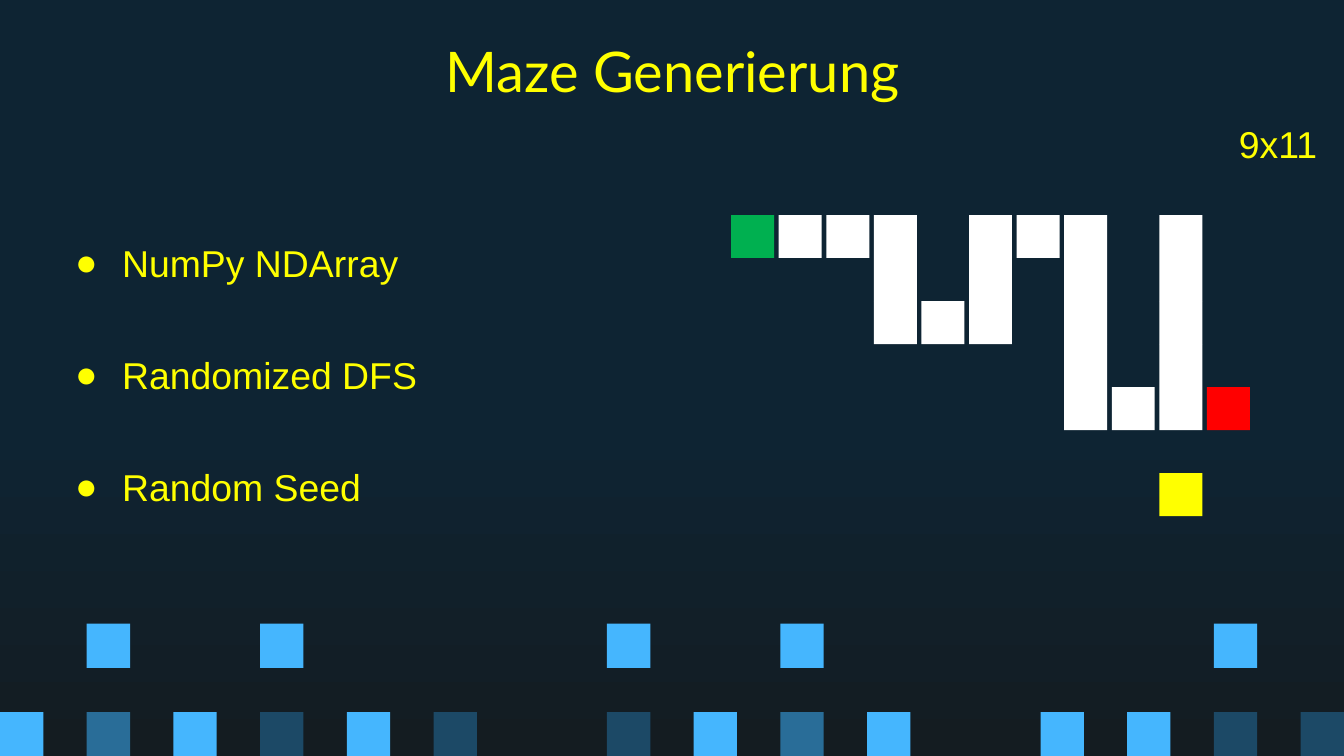
"""Build the slide on maze generation."""
from dataclasses import dataclass

from lxml import etree
from pptx import Presentation
from pptx.dml.color import RGBColor
from pptx.enum.shapes import MSO_SHAPE
from pptx.enum.text import MSO_ANCHOR, PP_ALIGN
from pptx.oxml.ns import qn
from pptx.util import Inches, Pt

RECTANGLE = MSO_SHAPE.RECTANGLE
TOP, MIDDLE = MSO_ANCHOR.TOP, MSO_ANCHOR.MIDDLE
LEFT, CENTER = PP_ALIGN.LEFT, PP_ALIGN.CENTER


@dataclass(frozen=True)
class Theme:
    night: str = "0E2433"
    black: str = "141C21"
    bright: str = "45B6FE"
    medium: str = "296D98"
    dark: str = "1C4966"
    yellow: str = "FFFF00"
    white: str = "FFFFFF"
    green: str = "00B050"
    red: str = "FF0000"
    title_font: str = "Lato"
    body_font: str = "Arial"
    title_size: int = 30
    body_size: int = 20


THEME = Theme()
TILE_COLORS = {"B": THEME.bright, "M": THEME.medium, "D": THEME.dark}
MAZE_COLORS = {"S": THEME.green, "W": THEME.white, "E": THEME.red, "Y": THEME.yellow}
TOP_TILES = [".B.B...B.B....B."]
BOTTOM_TILES = ["BMBDBD.DBMB.BBDD"]
MAZE = [
    "SWWW.WWW.W.",
    "...W.W.W.W.",
    "...WWW.W.W.",
    ".......W.W.",
    ".......WWWE",
    "...........",
    ".........Y.",
]
TILE_WIDTH = 10 / 31
MAZE_CELL = 0.32
MAZE_STEP = (8.98 - 5.44) / 10


class SlideBuilder:
    def __init__(self, slide, theme):
        self.slide = slide
        self.theme = theme

    def background(self):
        fill = self.slide.background.fill
        fill.gradient()
        fill.gradient_angle = 270
        stops = [(0.56, self.theme.night), (1, self.theme.black)]
        for stop, (position, color) in zip(fill.gradient_stops, stops):
            stop.position = position
            stop.color.rgb = RGBColor.from_string(color)

    def square(self, left, top, width, height, color):
        shape = self.slide.shapes.add_shape(
            RECTANGLE, Inches(left), Inches(top), Inches(width), Inches(height))
        shape.shadow.inherit = False
        shape.fill.solid()
        shape.fill.fore_color.rgb = RGBColor.from_string(color)
        shape.line.fill.background()

    def grid(self, rows, colors, origin, step, size):
        for row, cells in enumerate(rows):
            for column, cell in enumerate(cells):
                if cell in colors:
                    self.square(origin[0] + column * step[0],
                                origin[1] + row * step[1], *size, colors[cell])

    def text(self, box, lines, font, size, anchor=TOP, align=LEFT,
             spacing=1.0, margin=0, indent=0, bullet=None):
        shape = self.slide.shapes.add_textbox(*map(Inches, box))
        frame = shape.text_frame
        inset = Inches(0.1)
        frame_format = {"word_wrap": True, "vertical_anchor": anchor,
                        "margin_left": inset, "margin_right": inset,
                        "margin_top": inset, "margin_bottom": inset}
        for name, value in frame_format.items():
            setattr(frame, name, value)
        for index, line in enumerate(lines):
            paragraph = frame.add_paragraph() if index else frame.paragraphs[0]
            paragraph.alignment = align
            paragraph.line_spacing = spacing
            properties = paragraph._p.get_or_add_pPr()
            properties.set("marL", str(Inches(margin)))
            properties.set("indent", str(Inches(indent)))
            if bullet:
                self.bullet(properties, bullet)
            run = paragraph.add_run()
            run.text = line
            for name, value in {"name": font, "size": Pt(size)}.items():
                setattr(run.font, name, value)
            run.font.color.rgb = RGBColor.from_string(self.theme.yellow)

    def bullet(self, properties, character):
        color = etree.SubElement(properties, qn("a:buClr"))
        etree.SubElement(color, qn("a:srgbClr"), val=self.theme.yellow)
        etree.SubElement(properties, qn("a:buFont"), typeface=self.theme.body_font)
        etree.SubElement(properties, qn("a:buChar"), char=character)


def main():
    presentation = Presentation()
    presentation.slide_width = Inches(10)
    presentation.slide_height = Inches(10 * 9 / 16)
    slide = presentation.slides.add_slide(presentation.slide_layouts[6])
    builder = SlideBuilder(slide, THEME)
    builder.background()
    for tiles, top in ((TOP_TILES, 4.64), (BOTTOM_TILES, 5.3)):
        builder.grid(tiles, TILE_COLORS, (0, top), (2 * TILE_WIDTH, 0),
                     (TILE_WIDTH, 0.33))
    builder.text((0.31, 1.66, 3.39, 1.75),
                 ["NumPy NDArray", "Randomized DFS", "Random Seed"],
                 THEME.body_font, THEME.body_size, anchor=MIDDLE,
                 spacing=2.5, margin=0.5, indent=-0.35, bullet="●")
    builder.grid(MAZE, MAZE_COLORS, (5.44, 1.6), (MAZE_STEP, MAZE_CELL),
                 (MAZE_CELL, MAZE_CELL))
    builder.text((8.97, 0.8, 0.94, 0.49), ["9x11"],
                 THEME.body_font, THEME.body_size, margin=0.15)
    builder.text((1.28, 0.17, 7.45, 1.08), ["Maze Generierung"],
                 THEME.title_font, THEME.title_size, align=CENTER)
    presentation.save("out.pptx")


if __name__ == "__main__":
    main()
